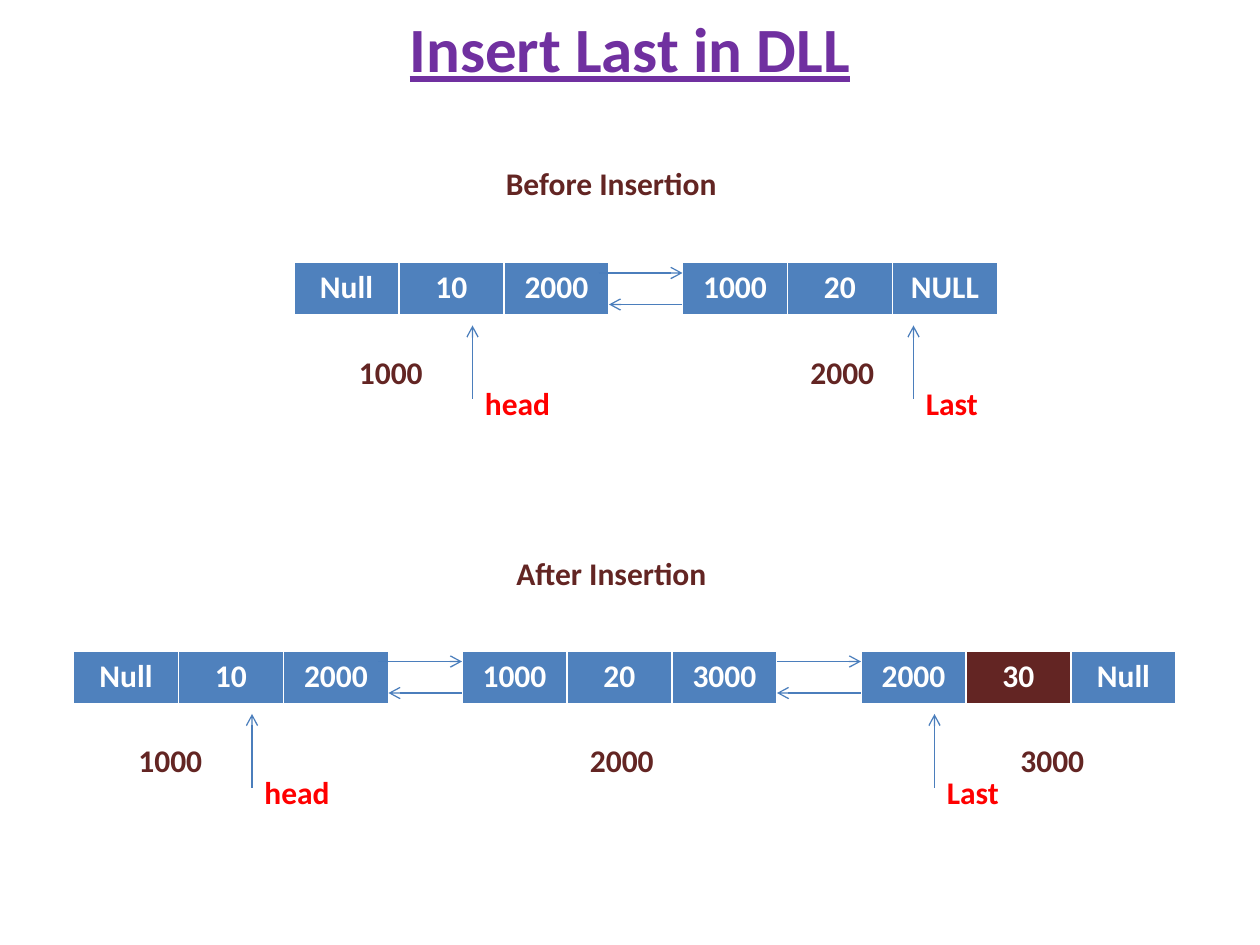
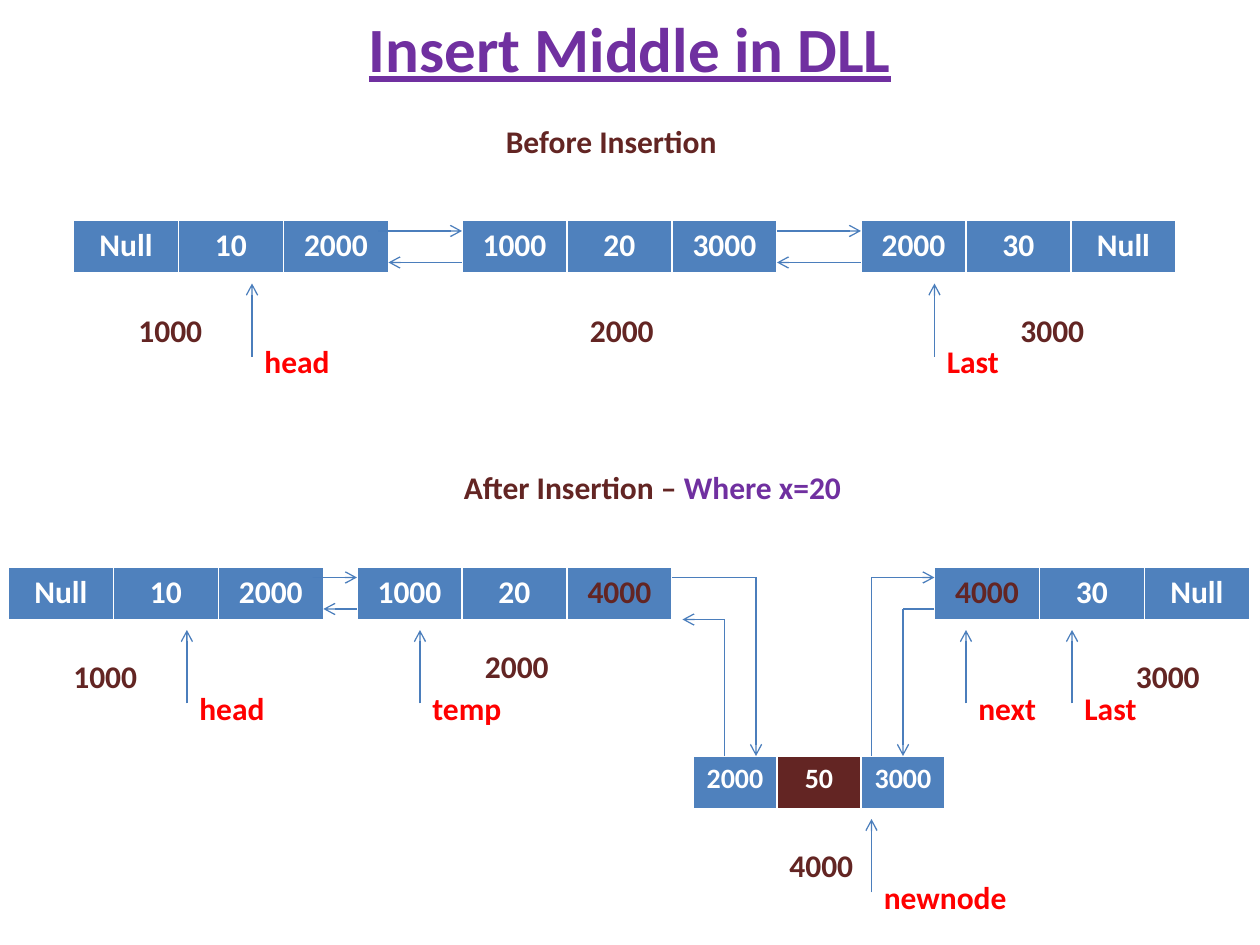
from dataclasses import dataclass, replace
from itertools import pairwise

from lxml.etree import SubElement
from pptx import Presentation
from pptx.dml.color import RGBColor
from pptx.enum.shapes import MSO_CONNECTOR
from pptx.enum.text import MSO_ANCHOR, MSO_AUTO_SIZE, PP_ALIGN
from pptx.oxml.ns import qn
from pptx.presentation import Presentation as PresentationType
from pptx.slide import Slide
from pptx.text.text import Font
from pptx.util import Emu, Pt

PX = 914400 // 120
FONT = "Calibri"
TITLE_ONLY = 5
COLOURS = {
    "title": "7030A0",
    "dark": "632523",
    "pointer": "FF0000",
    "node": "4F81BD",
    "link": "4B7EBC",
    "white": "FFFFFF",
}
NODE_HEIGHT = 50
LABEL_WIDTH, LABEL_HEIGHT = 100, 48
# Offsets below the top of a row of nodes
NEXT_LINK, PREVIOUS_LINK = 10, 40
ARROW_TIP, ARROW_START, POINTER_LABEL = 60, 130, 110

Point = tuple[int, int]


@dataclass(frozen=True)
class Node:
    left: int
    cells: tuple[str, str, str]
    address: str
    address_left: int
    address_offset: int = 80
    width: int = 300
    size: int = 18
    new_cell: int | None = None
    changed_cell: int | None = None

    @property
    def right(self) -> int:
        return self.left + self.width


@dataclass(frozen=True)
class Pointer:
    name: str
    left: int
    width: int = LABEL_WIDTH


@dataclass(frozen=True)
class Row:
    """Nodes on one level, each linked to the next, with the pointers below."""
    top: int
    nodes: tuple[Node, ...]
    pointers: tuple[Pointer, ...]


@dataclass(frozen=True)
class Heading:
    left: int
    top: int
    text: str
    width: int = 260
    condition: str = ""


def px(length: int) -> Emu:
    return Emu(length * PX)


def style_font(font: Font, colour: str, size: int = 18) -> None:
    font.name = FONT
    font.size = Pt(size)
    font.bold = True
    font.color.rgb = RGBColor.from_string(COLOURS[colour])


def add_label(slide: Slide, left: int, top: int, text: str, colour: str,
              width: int = LABEL_WIDTH, ending: str = "") -> None:
    """Add one line of text, with an optional ending in the title colour."""
    box = slide.shapes.add_textbox(px(left), px(top), px(width), px(LABEL_HEIGHT))
    frame = box.text_frame
    frame.word_wrap = True
    frame.auto_size = MSO_AUTO_SIZE.SHAPE_TO_FIT_TEXT
    paragraph = frame.paragraphs[0]
    paragraph.text = text
    style_font(paragraph.runs[0].font, colour)
    if ending:
        run = paragraph.add_run()
        run.text = ending
        style_font(run.font, "title")


def add_path(slide: Slide, *points: Point) -> None:
    """Join the points by straight lines, with an arrowhead at the last one."""
    for begin, end in pairwise(points):
        connector = slide.shapes.add_connector(
            MSO_CONNECTOR.STRAIGHT, *map(px, begin), *map(px, end))
        connector.line.color.rgb = RGBColor.from_string(COLOURS["link"])
        connector.line.width = Pt(0.75)
        properties = connector.element.spPr
        if end == points[-1]:
            SubElement(properties.find(qn("a:ln")), qn("a:tailEnd"), type="arrow")
        SubElement(properties, qn("a:effectLst"))


def add_node(slide: Slide, node: Node, top: int) -> None:
    table = slide.shapes.add_table(
        1, len(node.cells), px(node.left), px(top), px(node.width), px(NODE_HEIGHT)).table
    for index, text in enumerate(node.cells):
        cell = table.cell(0, index)
        cell.fill.solid()
        fill = "dark" if index == node.new_cell else "node"
        cell.fill.fore_color.rgb = RGBColor.from_string(COLOURS[fill])
        cell.text_frame.text = text
        paragraph = cell.text_frame.paragraphs[0]
        paragraph.alignment = PP_ALIGN.CENTER
        colour = "dark" if index == node.changed_cell else "white"
        style_font(paragraph.runs[0].font, colour, node.size)
    add_label(slide, node.address_left, top + node.address_offset, node.address, "dark")


def add_row(slide: Slide, row: Row) -> None:
    for node in row.nodes:
        add_node(slide, node, row.top)
    for index, (node, following) in enumerate(pairwise(row.nodes)):
        next_y, previous_y = row.top + NEXT_LINK, row.top + PREVIOUS_LINK
        overlap = 10 if index == 0 else 0
        add_path(slide, (node.right - overlap, next_y), (following.left, next_y))
        add_path(slide, (following.left, previous_y), (node.right, previous_y))
    for pointer in row.pointers:
        add_path(slide, (pointer.left, row.top + ARROW_START),
                 (pointer.left, row.top + ARROW_TIP))
        add_label(slide, pointer.left, row.top + POINTER_LABEL,
                  pointer.name, "pointer", pointer.width)


def add_list_slide(presentation: PresentationType, title: str,
                   headings: list[Heading], rows: list[Row]) -> Slide:
    slide = presentation.slides.add_slide(presentation.slide_layouts[TITLE_ONLY])
    shape = slide.shapes.title
    shape.left, shape.top, shape.width, shape.height = map(px, (60, -30, 1080, 150))
    shape.text_frame.text = title
    shape.text_frame.vertical_anchor = MSO_ANCHOR.MIDDLE
    paragraph = shape.text_frame.paragraphs[0]
    paragraph.alignment = PP_ALIGN.CENTER
    font = paragraph.runs[0].font
    style_font(font, "title", 36)
    font.underline = True
    for heading in headings:
        add_label(slide, heading.left, heading.top, heading.text, "dark",
                  heading.width, heading.condition)
    for row in rows:
        add_row(slide, row)
    return slide


FIRST = Node(70, ("Null", "10", "2000"), "1000", 120)
SECOND = Node(440, ("1000", "20", "3000"), "2000", 550)
THIRD = Node(820, ("2000", "30", "Null"), "3000", 960)
THREE_NODE_POINTERS = (Pointer("head", 240), Pointer("Last", 890))


def add_insert_last(presentation: PresentationType) -> None:
    before = Row(
        250,
        (replace(FIRST, left=280, address_left=330),
         replace(SECOND, left=650, cells=("1000", "20", "NULL"), address_left=760)),
        (Pointer("head", 450), Pointer("Last", 870)))
    after = Row(620, (FIRST, SECOND, replace(THIRD, new_cell=1)), THREE_NODE_POINTERS)
    headings = [Heading(470, 150, "Before Insertion"), Heading(480, 522, "After Insertion")]
    add_list_slide(presentation, "Insert Last in DLL", headings, [before, after])


def add_insert_middle(presentation: PresentationType) -> None:
    before = Row(210, (FIRST, SECOND, THIRD), THREE_NODE_POINTERS)
    left_part = Row(
        540,
        (replace(FIRST, left=8, address_left=58),
         replace(SECOND, left=340, cells=("1000", "20", "4000"), address_left=450,
                 address_offset=70, changed_cell=2)),
        (Pointer("head", 178), Pointer("temp", 400)))
    right_part = Row(
        540,
        (replace(THIRD, left=890, cells=("4000", "30", "Null"), address_left=1070,
                 changed_cell=0),),
        (Pointer("next", 920), Pointer("Last", 1021)))
    inserted = Row(
        720,
        (Node(660, ("2000", "50", "3000"), "4000", 740, width=240, size=16, new_cell=1),),
        (Pointer("newnode", 830, 170),))
    headings = [
        Heading(470, 110, "Before Insertion"),
        Heading(430, 440, "After Insertion –", 420, " Where x=20"),
    ]
    slide = add_list_slide(presentation, "Insert Middle in DLL", headings,
                           [before, left_part, right_part, inserted])

    next_y = left_part.top + NEXT_LINK
    previous_y = right_part.top + PREVIOUS_LINK
    temp_right, next_left = left_part.nodes[-1].right, right_part.nodes[0].left
    add_path(slide, (temp_right, next_y), (720, next_y), (720, inserted.top))
    add_path(slide, (690, inserted.top), (690, 590), (temp_right + 10, 590))
    add_path(slide, (830, inserted.top), (830, next_y), (next_left, next_y))
    add_path(slide, (next_left, previous_y), (860, previous_y), (860, inserted.top))


def main() -> None:
    presentation = Presentation()
    presentation.slide_width, presentation.slide_height = px(1200), px(900)
    add_insert_last(presentation)
    add_insert_middle(presentation)
    presentation.save("out.pptx")


if __name__ == "__main__":
    main()
